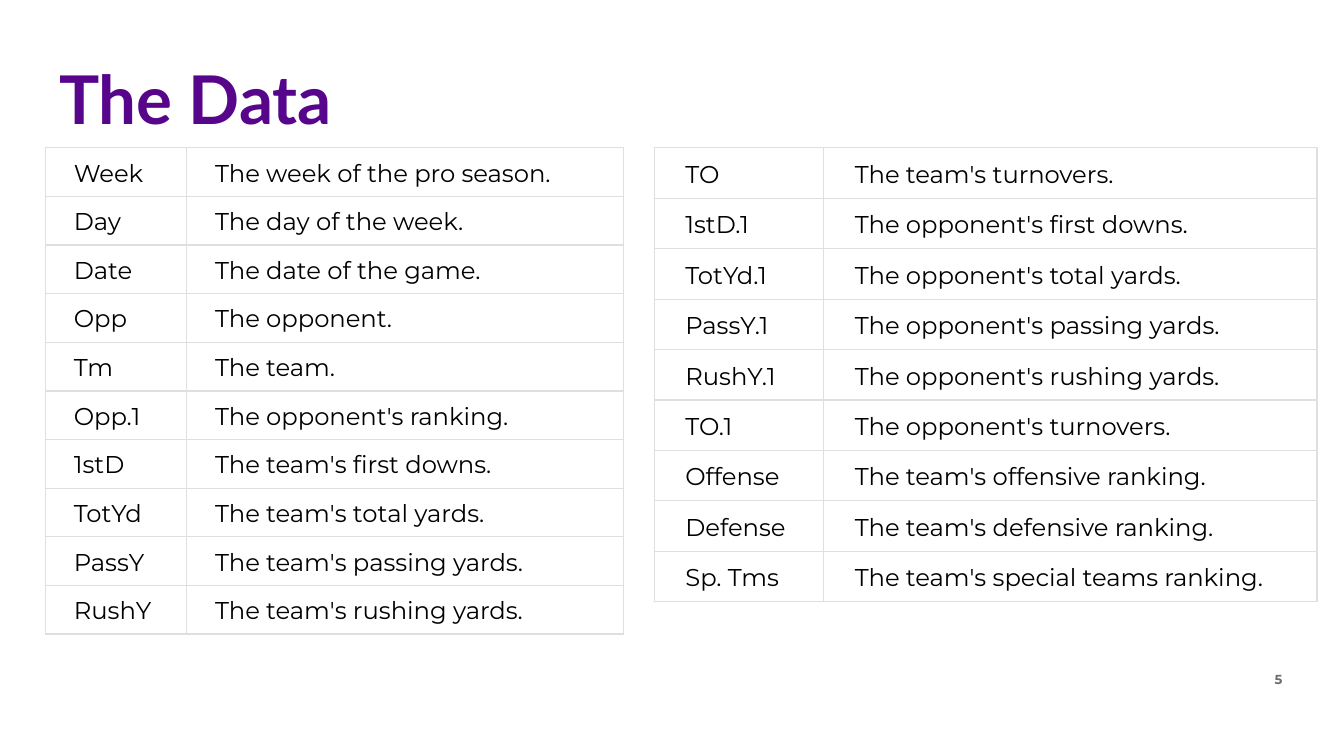
from lxml.etree import SubElement as Sub
from pptx import Presentation
from pptx.dml.color import RGBColor as Color
from pptx.enum.text import MSO_ANCHOR as Anchor, PP_ALIGN as Align
from pptx.oxml.ns import qn
from pptx.util import Inches, Pt

LEFT = [
    ("Week", "The week of the pro season."),
    ("Day", "The day of the week."),
    ("Date", "The date of the game."),
    ("Opp", "The opponent."),
    ("Tm", "The team."),
    ("Opp.1", "The opponent's ranking."),
    ("1stD", "The team's first downs."),
    ("TotYd", "The team's total yards."),
    ("PassY", "The team's passing yards."),
    ("RushY", "The team's rushing yards."),
]
RIGHT = [
    ("TO", "The team's turnovers."),
    ("1stD.1", "The opponent's first downs."),
    ("TotYd.1", "The opponent's total yards."),
    ("PassY.1", "The opponent's passing yards."),
    ("RushY.1", "The opponent's rushing yards."),
    ("TO.1", "The opponent's turnovers."),
    ("Offense", "The team's offensive ranking."),
    ("Defense", "The team's defensive ranking."),
    ("Sp. Tms", "The team's special teams ranking."),
]


def rgb(code):
    return Color.from_string(code)


def write(frame, text, name, size, color, bold=False):
    frame.text = text
    font = frame.paragraphs[0].runs[0].font
    font.name, font.size, font.bold = name, Pt(size), bold
    font.color.rgb = rgb(color)


def pad(frame):
    frame.word_wrap = True
    frame.margin_left = frame.margin_right = Inches(0.1)
    frame.margin_top = frame.margin_bottom = Inches(0.1)


def add_title(slide, box, text):
    title = slide.shapes.title
    title.left, title.top, title.width, title.height = map(Inches, box)
    frame = title.text_frame
    pad(frame)
    frame.vertical_anchor = Anchor.TOP
    write(frame, text, "Lato", 36, "57068C", True)
    frame.paragraphs[0].alignment = Align.LEFT
    frame.paragraphs[0].line_spacing = 0.8


def add_number(slide, box, text):
    frame = slide.shapes.add_textbox(*map(Inches, box)).text_frame
    pad(frame)
    frame.vertical_anchor = Anchor.TOP
    write(frame, text, "Montserrat", 7, "6D6D6D", True)
    frame.paragraphs[0].alignment = Align.RIGHT


def style_cell(cell, side, top):
    cell.margin_left = cell.margin_right = Inches(side)
    cell.margin_top, cell.margin_bottom = Inches(top), Inches(0.06)
    cell.vertical_anchor = Anchor.TOP
    props = cell._tc.get_or_add_tcPr()
    for edge in ("a:lnL", "a:lnR", "a:lnT", "a:lnB"):
        line = Sub(props, qn(edge), w=str(Pt(0.75)))
        Sub(Sub(line, qn("a:solidFill")), qn("a:srgbClr"), val="DEDFE0")
    cell.fill.solid()
    cell.fill.fore_color.rgb = rgb("FFFFFF")


def add_terms(slide, box, terms, first, side, top):
    x, y, width, height = box
    frame = slide.shapes.add_table(len(terms), 2, *map(Inches, box))
    table = frame.table
    table.first_row = table.horz_banding = False
    table.columns[0].width = Inches(first)
    table.columns[1].width = Inches(width - first)
    for row, pair in zip(table.rows, terms):
        row.height = Inches(height / len(terms))
        for cell, text in zip(row.cells, pair):
            style_cell(cell, side, top)
            write(cell.text_frame, text, "Montserrat", 13, "000000")


def main():
    deck = Presentation()
    deck.slide_width, deck.slide_height = Inches(10), Inches(10 * 9 / 16)
    slide = deck.slides.add_slide(deck.slide_layouts[5])
    add_number(slide, (5.05, 4.94, 4.59, 0.34), "5")
    add_title(slide, (0.34, 0.44, 7.16, 0.72), "The Data")
    add_terms(slide, (0.34, 1.1, 4.3, 3.62), LEFT, 1.05, 0.21, 0.08)
    add_terms(slide, (4.87, 1.1, 4.93, 3.38), RIGHT, 1.26, 0.23, 0.09)
    deck.save("out.pptx")


if __name__ == "__main__":
    main()
